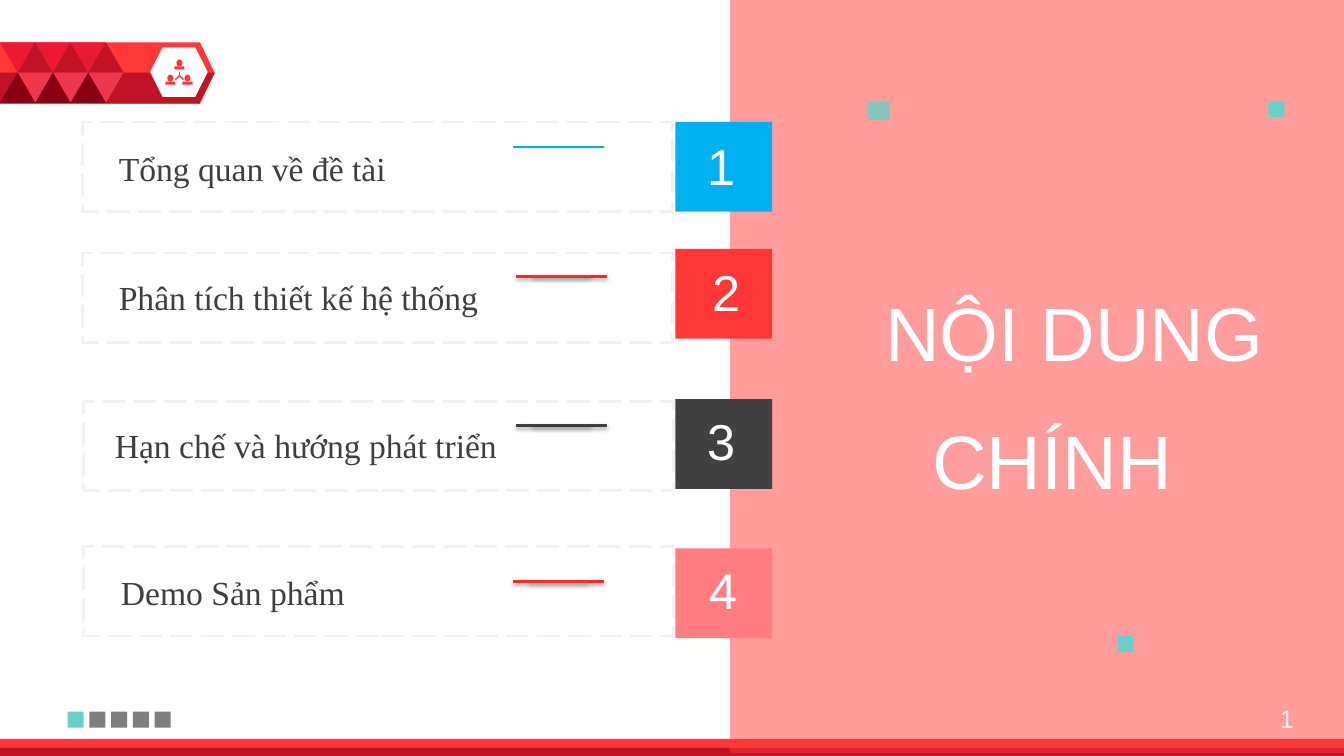
import pptx
import pptx.util
import pptx.dml.color
import pptx.enum.dml
import pptx.enum.shapes
import pptx.enum.text
import pptx.oxml
import pptx.oxml.ns

WIDTH, HEIGHT = 13.33, 7.5
COLORS = {
    "white": "FFFFFF", "red": "FF3737", "crimson": "C21227", "scarlet": "EB1932",
    "rose": "ED374D", "maroon": "880014", "teal": "68D0C6", "gray": "7F7F7F",
    "blue": "00B0F0", "dark": "414141", "pink": "FF7C80", "text": "3F3F3F",
    "pale": "F2F2F2", "bar red": "FF1818", "bar red edge": "FD3030",
}
TITLE = [("NỘI DUNG", 5.96, 2.79), ("CHÍNH", 5.05, 4.06)]
# label, label position, card position, badge top, badge color, number position,
# bar center, bar color, bar edge color
ITEMS = [
    ("Tổng quan về đề tài", (1.08, 1.42), (0.82, 1.21), 1.21, "blue",
     (6.81, 1.29), (5.54, 1.46), "blue", None),
    ("Phân tích thiết kế hệ thống", (1.08, 2.7), (0.82, 2.51), 2.47, "red",
     (6.86, 2.54), (5.57, 2.74), "bar red", "bar red edge"),
    ("Hạn chế và hướng phát triển", (1.04, 4.17), (0.83, 3.98), 3.96, "dark",
     (6.81, 4.02), (5.57, 4.22), "text", "text"),
    ("Demo Sản phẩm", (1.1, 5.62), (0.83, 5.42), 5.44, "pink",
     (6.83, 5.5), (5.54, 5.77), "bar red", "bar red edge"),
]
ACCENTS = [(11.08, 6.31), (12.58, 1)]
DOTS = ["teal"] + ["gray"] * 4
PEOPLE = [(1.78, 0.59), (1.69, 0.74), (1.86, 0.74)]
BRANCHES = [(1.78, 0.71), (1.74, 0.79), (1.82, 0.79)]
HUB = (1.78, 0.75)

SHAPES = pptx.enum.shapes.MSO_SHAPE
ALIGN = pptx.enum.text.PP_ALIGN
inch = pptx.util.Inches

presentation = pptx.Presentation()
presentation.slide_width = inch(WIDTH)
presentation.slide_height = inch(HEIGHT)
slide = presentation.slides.add_slide(presentation.slide_layouts[6])


def rgb(name):
    return pptx.dml.color.RGBColor.from_string(COLORS[name])


def paint(shape, fill, opacity=100):
    """Give the shape a plain fill with no line or shadow."""
    shape.shadow.inherit = False
    shape.line.fill.background()
    shape.fill.solid()
    shape.fill.fore_color.rgb = rgb(fill)
    if opacity < 100:
        color = shape._element.spPr.find(".//" + pptx.oxml.ns.qn("a:srgbClr"))
        alpha = pptx.oxml.parse_xml(
            f'<a:alpha {pptx.oxml.ns.nsdecls("a")} val="{opacity * 1000}"/>')
        color.append(alpha)
    return shape


def add_shape(kind, left, top, width, height, fill, opacity=100):
    shape = slide.shapes.add_shape(kind, inch(left), inch(top), inch(width), inch(height))
    return paint(shape, fill, opacity)


def add_text(text, left, top, width, height, size, color, align, font="Arial"):
    box = slide.shapes.add_textbox(inch(left), inch(top), inch(width), inch(height))
    box.text_frame.word_wrap = True
    paragraph = box.text_frame.paragraphs[0]
    paragraph.alignment = align
    run = paragraph.add_run()
    run.text = text
    run.font.size = pptx.util.Pt(size)
    run.font.name = font
    run.font.color.rgb = rgb(color)


def drop_shadow(shape):
    effects = shape._element.spPr.find(pptx.oxml.ns.qn("a:effectLst"))
    effects.append(pptx.oxml.parse_xml(
        f'<a:outerShdw {pptx.oxml.ns.nsdecls("a")} blurRad="39370" dist="22860" '
        'dir="5400000" rotWithShape="0"><a:srgbClr val="000000">'
        '<a:alpha val="34000"/></a:srgbClr></a:outerShdw>'))


def add_icon():
    """Three people joined to a hub."""
    for x, y in BRANCHES:
        line = slide.shapes.add_connector(
            pptx.enum.shapes.MSO_CONNECTOR.STRAIGHT, *map(inch, (*HUB, x, y)))
        line.line.color.rgb = rgb("red")
        line.line.width = pptx.util.Pt(1)
        line._element.spPr.append(pptx.oxml.parse_xml(
            f'<a:effectLst {pptx.oxml.ns.nsdecls("a")}/>'))
    for x, y in PEOPLE:
        add_shape(SHAPES.OVAL, x - 0.03, y, 0.06, 0.07, "red")
        add_shape(SHAPES.ROUND_2_SAME_RECTANGLE, x - 0.05, y + 0.07, 0.1, 0.03, "red")


def add_ribbon():
    top, middle, bottom, tip = 0.42, 0.72, 1.02, 2.13
    ribbon = add_shape(SHAPES.PENTAGON, 0, top, tip, 0.61, "red")
    ribbon.adjustments[0] = 0.239
    builder = slide.shapes.build_freeform(0, inch(middle))
    corners = [(tip, middle), (1.98, bottom), (0, bottom)]
    builder.add_line_segments([(inch(x), inch(y)) for x, y in corners])
    paint(builder.convert_to_shape(), "crimson")
    hexagon = add_shape(SHAPES.HEXAGON, 1.49, 0.47, 0.57, 0.49, "white")
    hexagon.adjustments[0] = 0.25
    add_icon()
    side = 0.35
    for column in range(3):
        left = column * side
        for x, y, color, turn in [
            (left, top, "scarlet", 180), (left + side / 2, top, "crimson", 0),
            (left + side / 2, middle, "rose", 180), (left, middle, "maroon", 0),
        ]:
            triangle = add_shape(SHAPES.ISOSCELES_TRIANGLE, x, y, side, 0.3, color)
            triangle.rotation = turn


def add_item(number, item):
    label, label_at, card_at, badge_top, color, number_at, center, bar, edge = item
    card = add_shape(SHAPES.RECTANGLE, *card_at, 5.85, 0.89, "white")
    card.fill.background()
    card.line.color.rgb = rgb("pale")
    card.line.width = pptx.util.Pt(2)
    card.line.dash_style = pptx.enum.dml.MSO_LINE.LONG_DASH
    add_shape(SHAPES.RECTANGLE, 6.7, badge_top, 0.96, 0.89, color)
    add_text(str(number), *number_at, 0.7, 0.71, 36, "white", ALIGN.CENTER)
    for length, thickness in [(0.9, 0.02), (0.58, 0.01)]:
        rule = add_shape(SHAPES.RECTANGLE, center[0] - length / 2,
                         center[1] - thickness / 2, length, thickness, bar)
        if edge:
            rule.line.color.rgb = rgb(edge)
            rule.line.width = pptx.util.Pt(0.75)
            drop_shadow(rule)
    add_text(label, *label_at, 5.31, 0.5, 24, "text", ALIGN.LEFT, "Times New Roman")


def main():
    add_ribbon()
    add_shape(SHAPES.RECTANGLE, 0, 7.33, WIDTH, 0.16, "red")
    add_shape(SHAPES.RECTANGLE, 0, 7.42, WIDTH, 0.08, "crimson")
    add_shape(SHAPES.RECTANGLE, 7.24, -0.03, 6.09, HEIGHT, "red", 49)
    for text, left, top in TITLE:
        add_text(text, left, top, 6.67, 1.01, 54, "white", ALIGN.RIGHT)
    add_shape(SHAPES.RECTANGLE, 8.6, 1, 0.22, 0.19, "teal", 80)
    for left, top in ACCENTS:
        add_shape(SHAPES.RECTANGLE, left, top, 0.16, 0.16, "teal")
    for index, color in enumerate(DOTS):
        add_shape(SHAPES.RECTANGLE, 0.67 + index * 0.216, 7.06, 0.16, 0.16, color)
    for number, item in enumerate(ITEMS, 1):
        add_item(number, item)
    add_text("1", 12.34, 6.93, 0.59, 0.4, 18, "pale", ALIGN.RIGHT)
    presentation.save("out.pptx")


if __name__ == "__main__":
    main()
